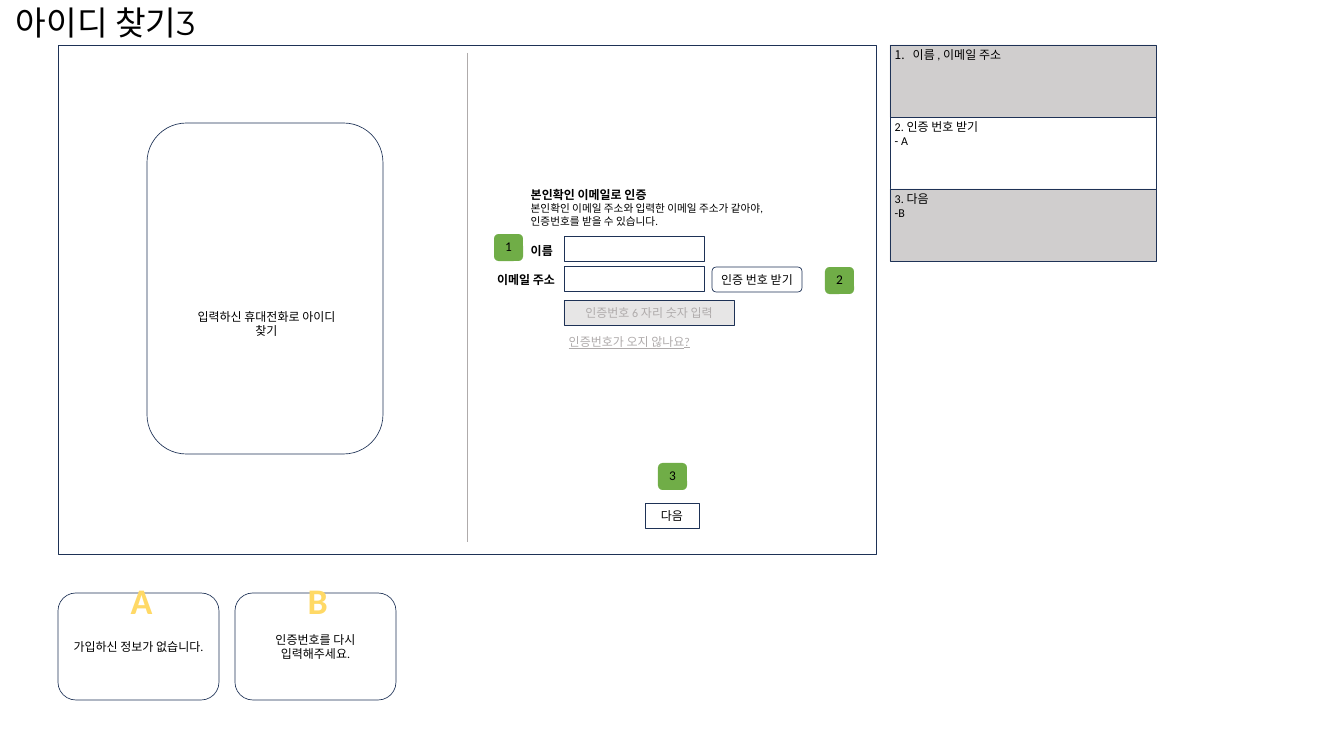
from lxml import etree
from pptx import Presentation, util as u
from pptx.dml.color import RGBColor
from pptx.enum import shapes, text
from pptx.oxml.ns import qn

PX = 19050  # EMU in one px, at 48 px to the inch
NAVY, GREEN, GRAY, BLACK = "1E3256", "70AD47", "AFABAB", "000000"
RECT = shapes.MSO_SHAPE.RECTANGLE
ROUND = shapes.MSO_SHAPE.ROUNDED_RECTANGLE
CENTER = text.PP_ALIGN.CENTER
LEFT = text.PP_ALIGN.LEFT

presentation = Presentation()
presentation.slide_width, presentation.slide_height = 1344 * PX, 756 * PX
slide = presentation.slides.add_slide(presentation.slide_layouts[6])


def rgb(color):
    return RGBColor.from_string(color)


def add_box(place, lines=(), kind=None, fill=None, line=NAVY, align=LEFT, wrap=True,
            color=BLACK, **formats):
    """Add a preset shape, or a text box if no kind is given, with its text."""
    place = [value * PX for value in place]
    if kind is None:
        shape = slide.shapes.add_textbox(*place)
        shape.text_frame.auto_size = text.MSO_AUTO_SIZE.SHAPE_TO_FIT_TEXT
    else:
        shape = slide.shapes.add_shape(kind, *place)
        shape.shadow.inherit = False
        shape.text_frame.vertical_anchor = text.MSO_ANCHOR.MIDDLE
        if fill:
            shape.fill.solid()
            shape.fill.fore_color.rgb = rgb(fill)
        else:
            shape.fill.background()
        if line:
            shape.line.color.rgb = rgb(line)
            shape.line.width = u.Pt(1)
        else:
            shape.line.fill.background()
    frame = shape.text_frame
    frame.word_wrap = wrap
    for index, words in enumerate(lines):
        paragraph = frame.add_paragraph() if index else frame.paragraphs[0]
        paragraph.alignment = align
        run = paragraph.add_run()
        run.text = words
        run.font.color.rgb = rgb(color)
        for name, value in {"name": "Calibri", "size": u.Pt(18), **formats}.items():
            setattr(run.font, name, value)
    return shape


# Title
add_box((11, 0, 360, 45), ["아이디 찾기3"], name="Montserrat", size=u.Pt(50))

# Screen frame, phone panel and divider
add_box((58, 45, 818, 509), kind=RECT)
add_box((147, 123, 236, 331), kind=ROUND)
add_box((189, 307, 155, 34), ["입력하신 휴대전화로 아이디 찾기"], align=CENTER)
divider = slide.shapes.add_connector(
    shapes.MSO_CONNECTOR.STRAIGHT, 467 * PX, 53 * PX, 467 * PX, 542 * PX)
divider.line.color.rgb = rgb(GRAY)
divider.line.width = u.Pt(0.5)
etree.SubElement(divider._element.spPr, qn("a:effectLst"))

# Heading of the e-mail form
heading = add_box((526, 185, 291, 45), [
    "본인확인 이메일로 인증",
    "본인확인 이메일 주소와 입력한 이메일 주소가 같아야, 인증번호를 받을 수 있습니다."])
heading.text_frame.paragraphs[0].runs[0].font.bold = True
heading.text_frame.paragraphs[1].runs[0].font.size = u.Pt(16)

# Form labels, fields and buttons
add_box((526, 241, 36, 19), ["이름"], bold=True)
add_box((482, 270, 88, 19), ["이메일 주소"], align=CENTER, bold=True)
for top in (236, 266):
    add_box((564, top, 140, 25), kind=RECT)
add_box((712, 267, 90, 25), ["인증 번호 받기"], ROUND, align=CENTER)
add_box((564, 300, 170, 25), ["인증번호 6 자리 숫자 입력"], RECT, "E7E6E6",
        align=CENTER, color=GRAY)
add_box((564, 332, 141, 19), ["인증번호가 오지 않나요?"], color=GRAY, underline=True)
add_box((645, 503, 54, 25), ["다음"], RECT, "FFFFFF", align=CENTER)

# Numbered badges
for number, left, top in (("1", 494, 234), ("2", 825, 267), ("3", 658, 463)):
    add_box((left, top, 29, 27), kind=ROUND, fill=GREEN, line=None)
    add_box((left + 6, top + 2, 17, 21), [number], align=CENTER, wrap=False, size=u.Pt(20))

# Descriptions of the numbered parts
descriptions = (["이름 , 이메일 주소"], ["2. 인증 번호 받기", "- A"], ["3. 다음", "-B"])
for row, lines in enumerate(descriptions):
    top = 45 + 72 * row
    add_box((890, top, 266, 72), kind=RECT, fill=None if row == 1 else "D0CECE")
    note = add_box((890, top, 144, 34 if row else 19), lines)
    if row == 0:
        properties = note.text_frame.paragraphs[0]._p.get_or_add_pPr()
        properties.set("marL", str(18 * PX))
        properties.set("indent", str(-18 * PX))
        etree.SubElement(properties, qn("a:buFont"), typeface="+mj-lt")
        etree.SubElement(properties, qn("a:buAutoNum"), type="arabicPeriod")

# Message cards
messages = (("A", "가입하신 정보가 없습니다."), ("B", "인증번호를 다시 입력해주세요."))
for column, (letter, message) in enumerate(messages):
    left = 58 + 177 * column
    add_box((left, 593, 161, 107), [message], ROUND, align=CENTER)
    add_box((left + 68, 576, 25, 48), [letter], align=CENTER, wrap=False,
            color="FFD966", size=u.Pt(54), bold=True)

presentation.save("out.pptx")
